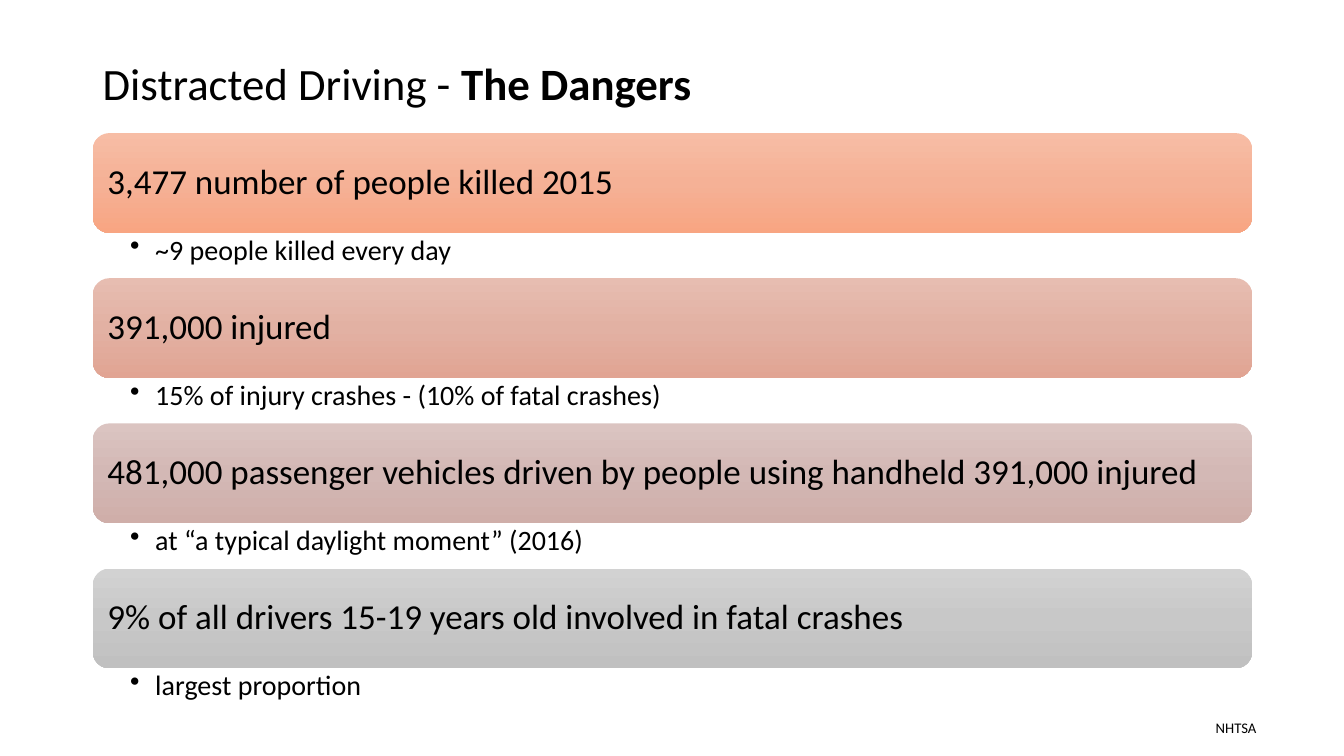
from copy import deepcopy

from lxml.etree import SubElement
from pptx import Presentation
from pptx.dml.color import RGBColor
from pptx.enum.shapes import MSO_SHAPE
from pptx.enum.text import MSO_ANCHOR, PP_ALIGN
from pptx.oxml.ns import qn
from pptx.util import Inches, Pt

FONT = "Calibri"
BLACK = RGBColor(0x00, 0x00, 0x00)
ORANGE = [RGBColor(0xF7, 0xBD, 0xA5), RGBColor(0xF5, 0xB1, 0x96), RGBColor(0xF8, 0xA5, 0x82)]
CORAL = [RGBColor(0xE7, 0xBD, 0xB1), RGBColor(0xE2, 0xB1, 0xA3), RGBColor(0xE1, 0xA4, 0x93)]
ROSE = [RGBColor(0xDB, 0xC4, 0xC1), RGBColor(0xD3, 0xB8, 0xB5), RGBColor(0xCF, 0xAE, 0xA9)]
GREY = [RGBColor(0xD2, 0xD2, 0xD2), RGBColor(0xC8, 0xC8, 0xC8), RGBColor(0xC0, 0xC0, 0xC0)]

DANGERS = [
    ("3,477 number of people killed 2015", "~9 people killed every day", ORANGE),
    ("391,000 injured", "15% of injury crashes - (10% of fatal crashes)", CORAL),
    ("481,000 passenger vehicles driven by people using handheld 391,000 injured",
     "at “a typical daylight moment” (2016)", ROSE),
    ("9% of all drivers 15-19 years old involved in fatal crashes", "largest proportion", GREY),
]
LEFT, WIDTH = 0.92, 11.5
BANDS_TOP, BAND_HEIGHT, DETAIL_HEIGHT = 1.32, 0.99, 0.45


def add_run(paragraph, text, size, bold=False):
    run = paragraph.add_run()
    run.text = text
    run.font.name = FONT
    run.font.size = Pt(size)
    run.font.bold = bold
    run.font.color.rgb = BLACK


def set_frame(shape, anchor, left=0.1, top=0.05, right=0.1, bottom=0.05):
    frame = shape.text_frame
    frame.word_wrap = True
    frame.vertical_anchor = anchor
    frame.margin_left, frame.margin_top = Inches(left), Inches(top)
    frame.margin_right, frame.margin_bottom = Inches(right), Inches(bottom)
    return frame.paragraphs[0]


def add_box(slide, left, top, width, height):
    return slide.shapes.add_textbox(Inches(left), Inches(top), Inches(width), Inches(height))


def fill_gradient(shape, colors):
    shape.fill.gradient()
    shape.fill.gradient_angle = 270
    stop_list = shape._element.spPr.find(".//" + qn("a:gsLst"))
    stop_list.append(deepcopy(stop_list[-1]))
    for index, (stop, color) in enumerate(zip(shape.fill.gradient_stops, colors)):
        stop.position = index / 2
        stop.color.rgb = color


def add_title(slide, left, top, width, height):
    title = set_frame(add_box(slide, left, top, width, height), MSO_ANCHOR.MIDDLE)
    title.line_spacing = 0.9
    add_run(title, "Distracted Driving - ", 32)
    add_run(title, "The Dangers", 32, bold=True)


def add_band(slide, left, top, width, height, statistic, colors):
    band = slide.shapes.add_shape(MSO_SHAPE.ROUNDED_RECTANGLE, Inches(left), Inches(top),
                                  Inches(width), Inches(height))
    band.shadow.inherit = False
    band.line.fill.background()
    fill_gradient(band, colors)
    headline = set_frame(band, MSO_ANCHOR.MIDDLE, 0.1, 0.1, 0.1, 0.1)
    headline.alignment = PP_ALIGN.LEFT
    headline.line_spacing = 0.9
    add_run(headline, statistic, 25)


def add_detail(slide, left, top, width, height, text):
    detail = set_frame(add_box(slide, left, top, width, height),
                       MSO_ANCHOR.TOP, 0.37, 0.03, 0.19, 0.03)
    detail.level = 1
    properties = detail._p.get_or_add_pPr()
    properties.set("marL", str(Inches(0.25)))
    properties.set("indent", str(-Inches(0.25)))
    SubElement(properties, qn("a:buChar")).set("char", "•")
    detail.line_spacing = 0.9
    add_run(detail, text, 20)


def add_dangers(slide, left, top, width):
    for index, (statistic, detail, colors) in enumerate(DANGERS):
        band_top = top + index * (BAND_HEIGHT + DETAIL_HEIGHT)
        add_band(slide, left, band_top, width, BAND_HEIGHT, statistic, colors)
        add_detail(slide, left, band_top + BAND_HEIGHT, width, DETAIL_HEIGHT, detail)


def add_credit(slide, left, top, width, height):
    credit = set_frame(add_box(slide, left, top, width, height), MSO_ANCHOR.TOP)
    add_run(credit, "NHTSA", 10.5)


def main():
    presentation = Presentation()
    presentation.slide_width = Inches(13.33)
    presentation.slide_height = Inches(7.5)
    slide = presentation.slides.add_slide(presentation.slide_layouts[6])
    add_title(slide, LEFT, 0.4, WIDTH, 0.9)
    add_dangers(slide, LEFT, BANDS_TOP, WIDTH)
    add_credit(slide, 11.96, 7.08, 1.26, 0.29)
    presentation.save("out.pptx")


if __name__ == "__main__":
    main()
